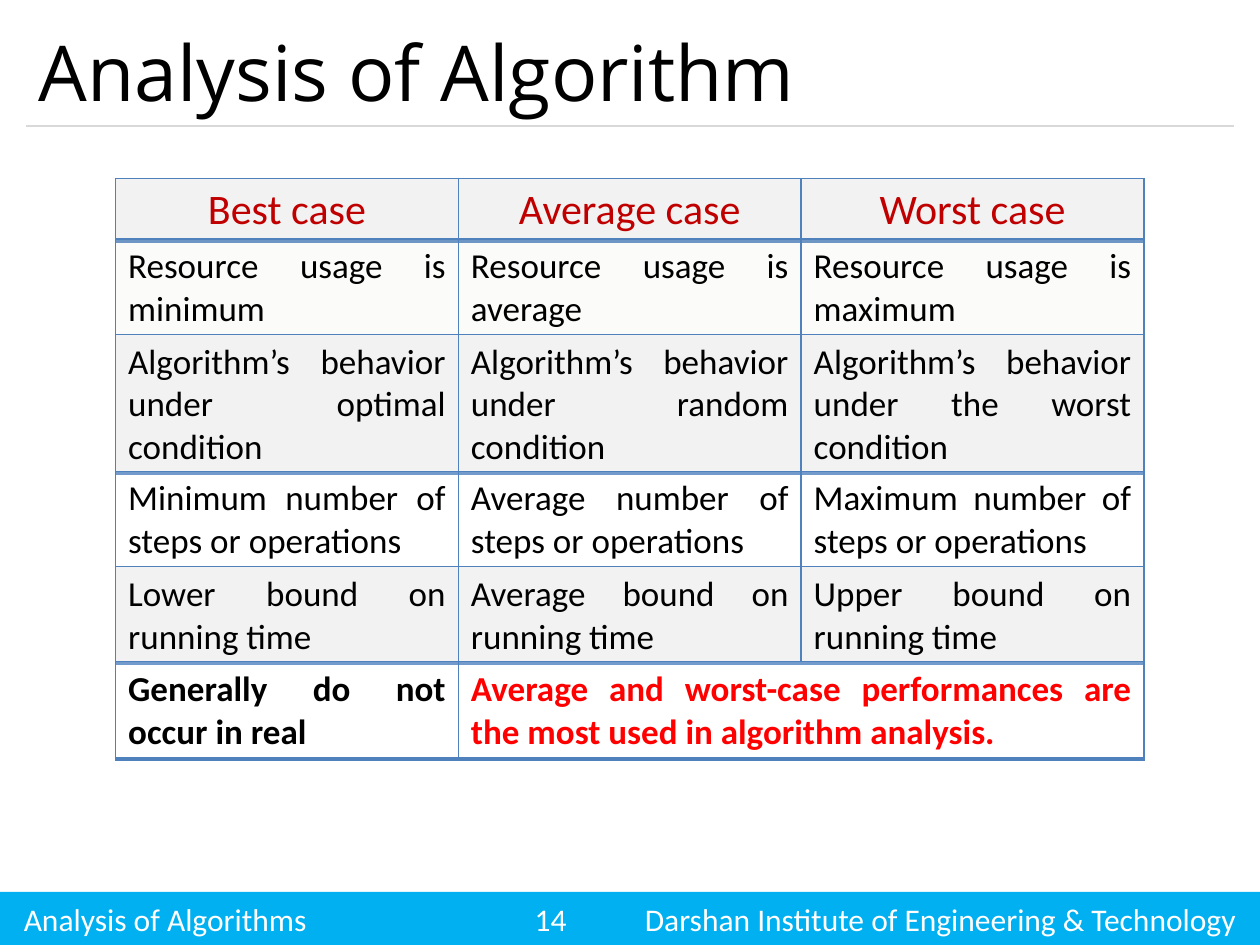
from lxml import etree
from pptx import Presentation
from pptx.dml.color import RGBColor
from pptx.enum.shapes import MSO_CONNECTOR, MSO_SHAPE
from pptx.enum.text import MSO_ANCHOR, PP_ALIGN
from pptx.oxml.ns import qn
from pptx.util import Cm, Pt

CENTER, JUSTIFY, LEFT = PP_ALIGN.CENTER, PP_ALIGN.JUSTIFY, PP_ALIGN.LEFT
MIDDLE = MSO_ANCHOR.MIDDLE
BLUE, GREY, BLACK, WHITE = "4F81BD", "F2F2F2", "000000", "FFFFFF"


def rgb(value):
    return RGBColor.from_string(value)


def style(paragraph, font_name, size, color, align, bold=False):
    paragraph.alignment = align
    font = paragraph.font
    font.name, font.size, font.bold = font_name, Pt(size), bold
    font.color.rgb = rgb(color)


prs = Presentation()
prs.slide_width, prs.slide_height = Cm(25.4), Cm(19.05)
slide = prs.slides.add_slide(prs.slide_layouts[6])
shapes = slide.shapes

# Footer bar: topic, page number and institute on tab stops
footer = shapes.add_shape(MSO_SHAPE.RECTANGLE, 0, Cm(17.98), Cm(25.4), Cm(1.07))
footer.shadow.inherit = False
footer.fill.solid()
footer.fill.fore_color.rgb = rgb("00B0F0")
footer.line.fill.background()
frame = footer.text_frame
frame.vertical_anchor = MIDDLE
frame.margin_left, frame.margin_right = Cm(0.48), 0
footer_line = frame.paragraphs[0]
footer_line.text = "Analysis of Algorithms\t14\tDarshan Institute of Engineering & Technology"
tabs = etree.SubElement(footer_line._p.get_or_add_pPr(), qn("a:tabLst"))
for position in (10.3, 12.52):
    etree.SubElement(tabs, qn("a:tab"), pos=str(Cm(position)), algn="l")
style(footer_line, "Calibri", 18, WHITE, LEFT)

# Title and the rule below it
title = shapes.add_textbox(Cm(0.53), Cm(0.3), Cm(24.34), Cm(2.24))
title.text_frame.word_wrap = True
title.text_frame.vertical_anchor = MIDDLE
title.text_frame.text = "Analysis of Algorithm"
style(title.text_frame.paragraphs[0], "Open Sans", 44, BLACK, LEFT)

rule = shapes.add_connector(MSO_CONNECTOR.STRAIGHT, Cm(0.53), Cm(2.54), Cm(24.87), Cm(2.54))
rule.line.color.rgb = rgb("D9D9D9")
rule.line.width = Pt(0.75)
etree.SubElement(rule._element.spPr, qn("a:effectLst"))

# Comparison of cases, one table per row: height, fill, opacity in %, texts
COLUMN, OVERLAP = 6.91, 0.04
comparison = [
    (1.26, GREY, 100, ["Best case", "Average case", "Worst case"]),
    (1.96, "EEECE1", 20, ["Resource usage is minimum",
                          "Resource usage is average",
                          "Resource usage is maximum"]),
    (2.8, GREY, 100, ["Algorithm’s behavior under optimal condition",
                      "Algorithm’s behavior under random condition",
                      "Algorithm’s behavior under the worst condition"]),
    (1.96, WHITE, 20, ["Minimum number of steps or operations",
                       "Average number of steps or operations",
                       "Maximum number of steps or operations"]),
    (1.96, GREY, 100, ["Lower bound on running time",
                       "Average bound on running time",
                       "Upper bound on running time"]),
    (1.96, WHITE, 20, ["Generally do not occur in real",
                       "Average and worst-case performances are the most used "
                       "in algorithm analysis."]),
]

top = 3.6
for index, (height, fill, opacity, texts) in enumerate(comparison):
    is_header = index == 0
    is_conclusion = index == len(comparison) - 1
    table = shapes.add_table(1, len(texts), Cm(2.33), Cm(top), Cm(3 * COLUMN), Cm(height)).table
    table.first_row = table.horz_banding = False
    for column in table.columns:
        column.width = Cm(COLUMN)
    if is_conclusion:
        table.columns[1].width = Cm(2 * COLUMN)

    for number, text in enumerate(texts):
        cell = table.cell(0, number)
        cell.text = text
        paragraph = cell.text_frame.paragraphs[0]
        if is_header:
            style(paragraph, "Calibri", 24, "C00000", CENTER)
        else:
            color = "FF0000" if is_conclusion and number == 1 else BLACK
            style(paragraph, "Calibri", 20, color, JUSTIFY, is_conclusion)

        # Borders go before the fill in the cell properties
        properties = cell._tc.get_or_add_tcPr()
        for side, width in (("lnL", 1), ("lnR", 1), ("lnT", 1), ("lnB", 2)):
            border = etree.SubElement(properties, qn(f"a:{side}"), w=str(Pt(width)))
            solid = etree.SubElement(border, qn("a:solidFill"))
            etree.SubElement(solid, qn("a:srgbClr"), val=BLUE)
        cell.fill.solid()
        cell.fill.fore_color.rgb = rgb(fill)
        if opacity < 100:
            fill_color = properties.find(qn("a:solidFill")).find(qn("a:srgbClr"))
            etree.SubElement(fill_color, qn("a:alpha"), val=str(opacity * 1000))
    top += height - OVERLAP

prs.save("out.pptx")
